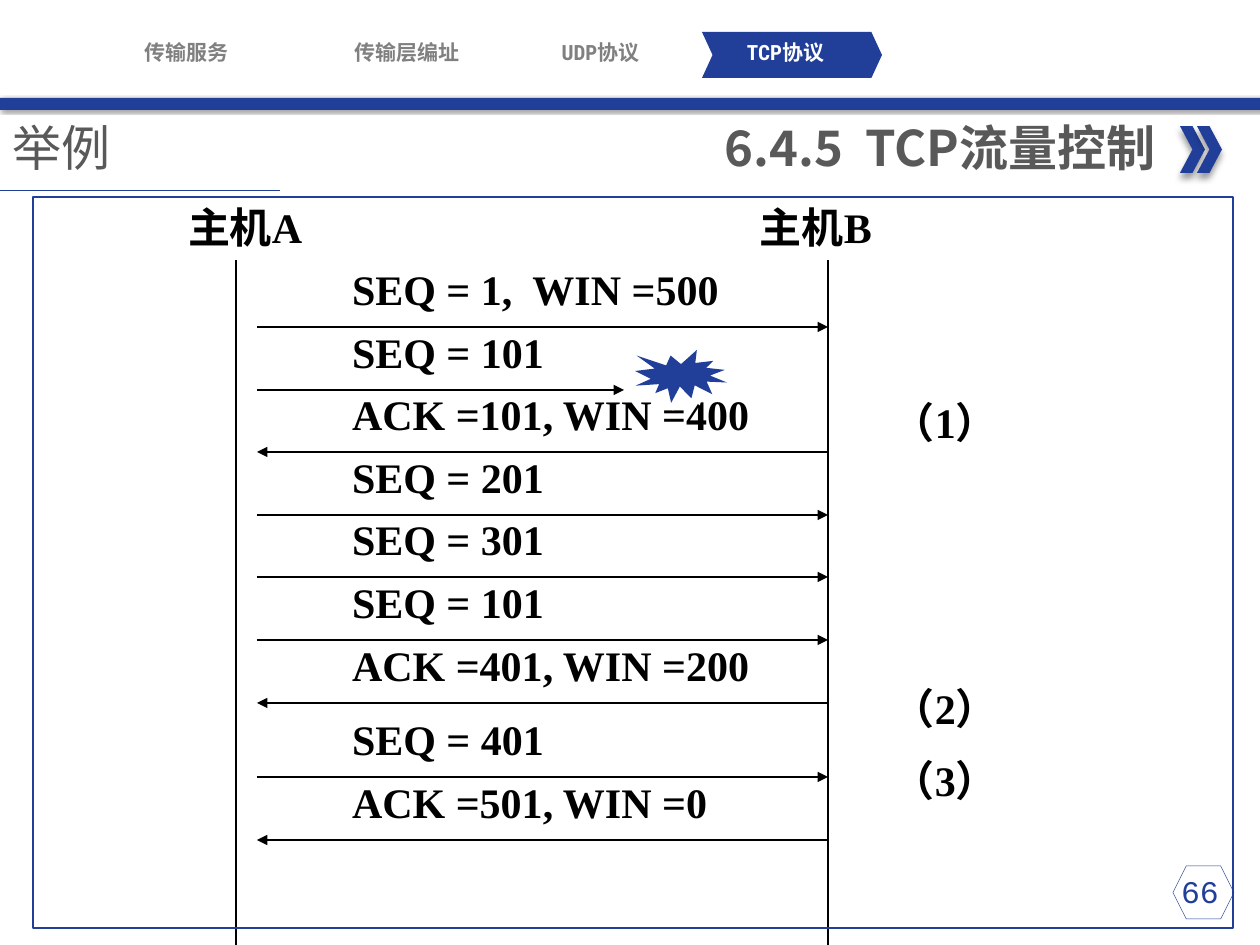
from lxml.etree import SubElement
from pptx import Presentation
from pptx.dml.color import RGBColor
from pptx.enum.shapes import MSO_CONNECTOR as Connector, MSO_SHAPE as Shape
from pptx.enum.text import MSO_ANCHOR as Anchor, PP_ALIGN as Align
from pptx.oxml.ns import qn
from pptx.util import Inches, Pt

PX = 7257  # EMU per px, 126 px to the inch
BLUE, GREY, LIGHT_GREY, BLACK, WHITE = "213F99", "595959", "808080", "000000", "FFFFFF"
SANS, SERIF, NAV, MONO = "Noto Sans CJK SC", "Times New Roman", "Roboto Condensed", "Courier New"
color = RGBColor.from_string

presentation = Presentation()
presentation.slide_width, presentation.slide_height = Inches(10), Inches(7.5)
slide = presentation.slides.add_slide(presentation.slide_layouts[5])
shapes = slide.shapes


def add_run(paragraph, text, size, font, hex_color, bold=True, align=Align.LEFT):
    paragraph.alignment = align
    run = paragraph.add_run()
    run.text = text
    run.font.size, run.font.bold = Pt(size), bold
    run.font.color.rgb = color(hex_color)
    run.font.name = font
    SubElement(run._r.get_or_add_rPr(), qn("a:ea"), typeface=SANS)


def add_text_box(left, top, width, height, side=13, edge=0, anchor=Anchor.TOP):
    box = shapes.add_textbox(left * PX, top * PX, width * PX, height * PX)
    frame = box.text_frame
    frame.word_wrap, frame.vertical_anchor = True, anchor
    frame.margin_left = frame.margin_right = side * PX
    frame.margin_top = frame.margin_bottom = edge * PX
    return frame


# Slide title
title = shapes.title
title.left, title.top, title.width, title.height = 0, 116 * PX, 326 * PX, 62 * PX
title.text_frame.vertical_anchor = Anchor.MIDDLE
add_run(title.text_frame.paragraphs[0], "举例", 28, SANS, GREY, bold=False)

# Messages: text, arrow start, arrow end
SENDER, RECEIVER, LOST = 257, 828, 624
messages = [
    ("SEQ = 1,  WIN =500", SENDER, RECEIVER),
    ("SEQ = 101", SENDER, LOST),
    ("ACK =101, WIN =400", RECEIVER, SENDER),
    ("SEQ = 201", SENDER, RECEIVER),
    ("SEQ = 301", SENDER, RECEIVER),
    ("SEQ = 101", SENDER, RECEIVER),
    ("ACK =401, WIN =200", RECEIVER, SENDER),
    ("SEQ = 401", SENDER, RECEIVER),
    ("ACK =501, WIN =0", RECEIVER, SENDER),
]

# Lines: title rule and the two lifelines, then one arrow per message
lines = [
    (0, 190, 280, 190, BLUE, 0.5, False),
    (236, 260, 236, 945, BLACK, 0.75, False),
    (RECEIVER, 260, RECEIVER, 945, BLACK, 0.75, False),
]
for row, (text, start, end) in enumerate(messages):
    y = 327 + round(62.6 * row) + (12 if row >= 7 else 0)
    lines.append((start, y, end, y, BLACK, 0.75, True))
    frame = add_text_box(339, y - 63, 449, 63)
    add_run(frame.paragraphs[0], text, 24, SERIF, BLACK)

for x1, y1, x2, y2, hex_color, weight, arrow in lines:
    line = shapes.add_connector(Connector.STRAIGHT, x1 * PX, y1 * PX, x2 * PX, y2 * PX)
    line.line.color.rgb = color(hex_color)
    line.line.width = Pt(weight)
    if arrow:
        SubElement(line.line._get_or_add_ln(), qn("a:tailEnd"), type="triangle")
    SubElement(line._element.spPr, qn("a:effectLst"))

# Shapes: kind, box, fill, line width, shadow (blur, distance, angle)
for kind, left, top, width, height, fill, weight, shadow in [
    (Shape.HEXAGON, 1173, 866, 61, 53, None, 0.25, None),
    (Shape.RECTANGLE, 0, 98, 1260, 12, BLUE, 0, (2, 1, 45)),
    (Shape.CHEVRON, 1180, 126, 25, 47, BLUE, 0, (4, 3, 90)),
    (Shape.CHEVRON, 1197, 126, 25, 47, BLUE, 0, (4, 3, 90)),
    (Shape.CHEVRON, 702, 32, 180, 46, BLUE, 0, None),
    (Shape.EXPLOSION1, 625, 348, 122, 63, WHITE, 0, None),
    (Shape.EXPLOSION1, 635, 350, 92, 53, BLUE, 0, None),
    (Shape.RECTANGLE, 33, 197, 1200, 731, None, 1, None),
]:
    shape = shapes.add_shape(kind, left * PX, top * PX, width * PX, height * PX)
    shape.shadow.inherit = False
    if fill:
        shape.fill.solid()
        shape.fill.fore_color.rgb = color(fill)
    else:
        shape.fill.background()
    if weight:
        shape.line.color.rgb = color(BLUE)
        shape.line.width = Pt(weight)
    else:
        shape.line.fill.background()
    if kind == Shape.CHEVRON and width > 100:
        shape.adjustments[0] = 0.23
    if shadow:
        blur, distance, angle = shadow
        effects = shape._element.spPr.find(qn("a:effectLst"))
        outer = SubElement(effects, qn("a:outerShdw"), blurRad=str(Pt(blur)),
                           dist=str(Pt(distance)), dir=str(angle * 60000),
                           algn="tl", rotWithShape="0")
        tint = SubElement(outer, qn("a:srgbClr"), val=BLACK)
        SubElement(tint, qn("a:alpha"), val="40000")

# Navigation
for text, left, hex_color in [
    ("传输服务", 95, LIGHT_GREY),
    ("传输层编址", 316, LIGHT_GREY),
    ("UDP协议", 509, LIGHT_GREY),
    ("TCP协议", 694, WHITE),
]:
    frame = add_text_box(left, 40, 183, 25, side=0, anchor=Anchor.MIDDLE)
    add_run(frame.paragraphs[0], text, 12, NAV, hex_color, align=Align.CENTER)

# Section heading and page number
frame = add_text_box(96, 111, 1072, 72, edge=6)
add_run(frame.paragraphs[0], "6.4.5  TCP流量控制", 28, SANS, GREY, align=Align.RIGHT)
frame = add_text_box(1145, 866, 110, 50, edge=6)
add_run(frame.paragraphs[0], "66", 18, MONO, BLUE, bold=False, align=Align.CENTER)

# Host names
for text, left in [("主机A", 175), ("主机B", 747)]:
    frame = add_text_box(left, 202, 244, 63)
    add_run(frame.paragraphs[0], text, 24, SERIF, BLACK)

# Numbered marks beside the exchange
frame = add_text_box(893, 391, 164, 453, side=0, edge=6)
for index, (text, gap) in enumerate([("（1）", 0), ("（2）", 134.6), ("（3）", 12)]):
    paragraph = frame.add_paragraph() if index else frame.paragraphs[0]
    paragraph.space_before = Pt(gap)
    add_run(paragraph, text, 24, SERIF, BLACK)

presentation.save("out.pptx")
